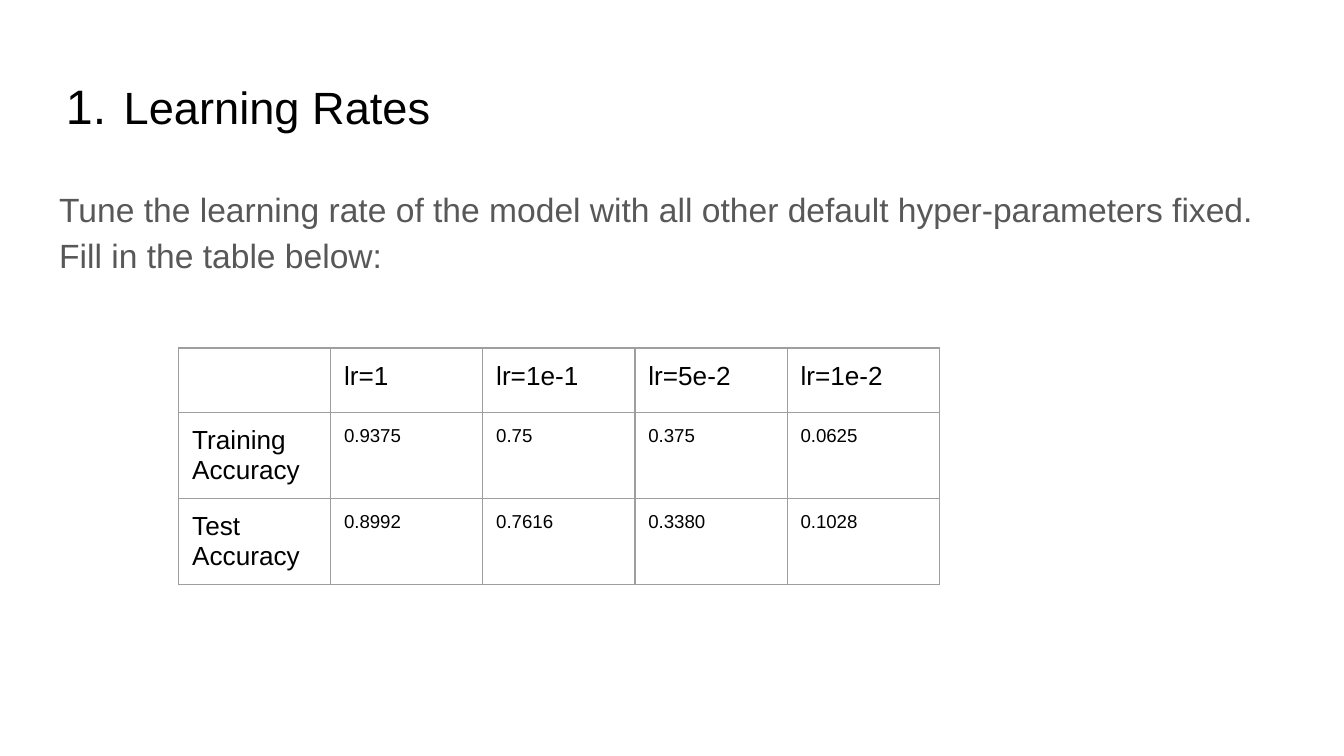
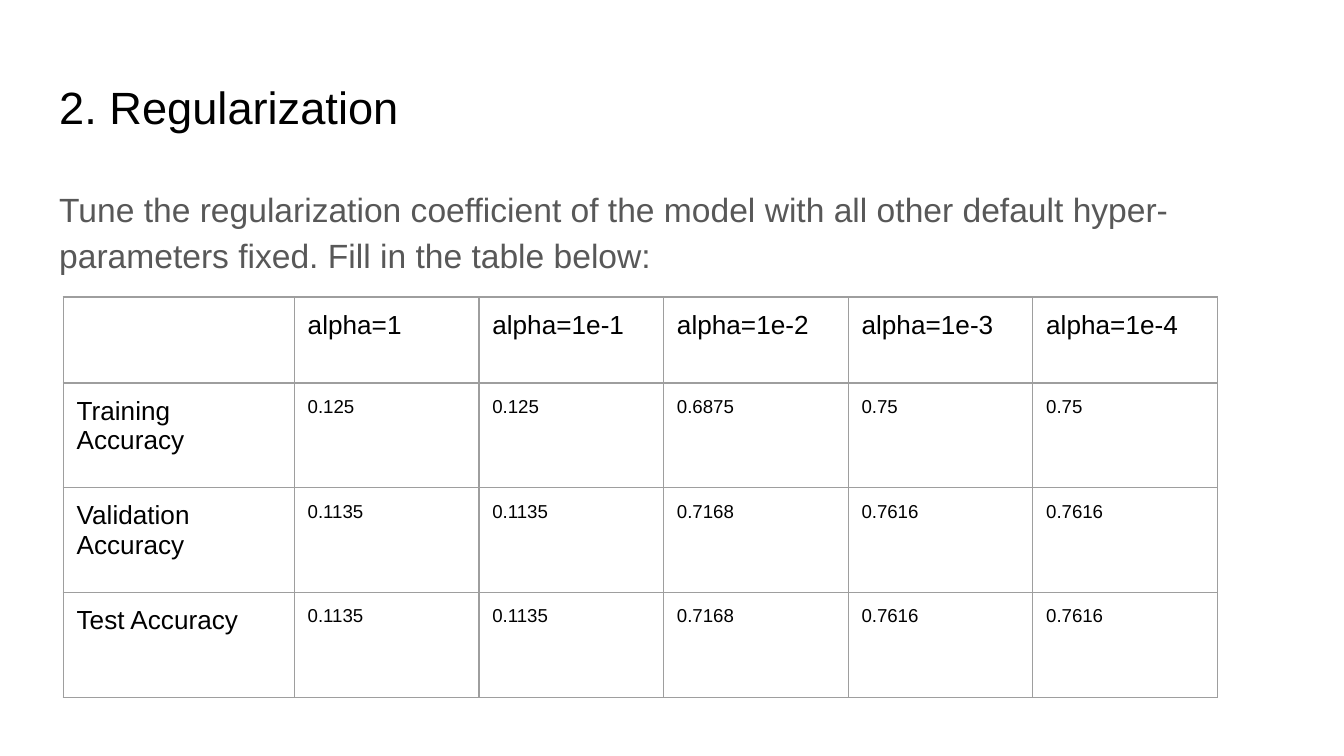
from dataclasses import dataclass

from lxml.etree import SubElement
from pptx import Presentation
from pptx.dml.color import RGBColor
from pptx.enum.text import MSO_ANCHOR, MSO_AUTO_SIZE, PP_ALIGN
from pptx.oxml.ns import qn
from pptx.util import Inches, Pt


@dataclass(frozen=True)
class Theme:
    font: str = "Arial"
    title_color: str = "000000"
    body_color: str = "585858"
    border_color: str = "9E9E9E"
    title_size: float = 24.2
    body_size: float = 18
    label_size: float = 14
    value_size: float = 10
    border_width: float = 0.75
    inset: float = 0.1


THEME = Theme()

SLIDES = [
    {
        "title": "Learning Rates",
        "numbered": True,
        "task": "Tune the learning rate of the model with all other default "
                "hyper-parameters fixed. Fill in the table below:",
        "body_height": 3.74,
        "table_position": (1.33, 2.59),
        "table_width": 5.66,
        "label_width": 1.13,
        "row_heights": [0.48, 0.64, 0.64],
        "cells": [
            ["", "lr=1", "lr=1e-1", "lr=5e-2", "lr=1e-2"],
            ["Training Accuracy", "0.9375", "0.75", "0.375", "0.0625"],
            ["Test Accuracy", "0.8992", "0.7616", "0.3380", "0.1028"],
        ],
    },
    {
        "title": "2. Regularization",
        "numbered": False,
        "task": "Tune the regularization coefficient of the model with all other default "
                "hyper-parameters fixed. Fill in the table below:",
        "body_height": 0.95,
        "table_position": (0.47, 2.21),
        "table_width": 8.59,
        "label_width": 1.72,
        "row_heights": [0.64, 0.78, 0.78, 0.78],
        "cells": [
            ["", "alpha=1", "alpha=1e-1", "alpha=1e-2", "alpha=1e-3", "alpha=1e-4"],
            ["Training Accuracy", "0.125", "0.125", "0.6875", "0.75", "0.75"],
            ["Validation Accuracy", "0.1135", "0.1135", "0.7168", "0.7616", "0.7616"],
            ["Test Accuracy", "0.1135", "0.1135", "0.7168", "0.7616", "0.7616"],
        ],
    },
]


def write_text(box, text, *, size, color=THEME.title_color, line_spacing=1.0, numbered=False):
    """Fill a text frame or a table cell with one formatted paragraph."""
    box.vertical_anchor = MSO_ANCHOR.TOP
    box.margin_left = box.margin_right = Inches(THEME.inset)
    box.margin_top = box.margin_bottom = Inches(THEME.inset)
    paragraph = getattr(box, "text_frame", box).paragraphs[0]
    paragraph.alignment = PP_ALIGN.LEFT
    paragraph.line_spacing = line_spacing
    paragraph.space_before = Pt(0)
    properties = paragraph._p.get_or_add_pPr()
    properties.set("marL", str(Inches(0.48 if numbered else 0)))
    properties.set("indent", str(Inches(-0.43 if numbered else 0)))
    if numbered:
        bullet_color = SubElement(properties, qn("a:buClr"))
        SubElement(bullet_color, qn("a:srgbClr"), val=color)
        SubElement(properties, qn("a:buSzPct"), val="107000")
        SubElement(properties, qn("a:buFont"), typeface=THEME.font)
        SubElement(properties, qn("a:buAutoNum"), type="arabicPeriod")
    else:
        SubElement(properties, qn("a:buNone"))
    if text:
        run = paragraph.add_run()
        run.text = text
        run.font.name = THEME.font
        run.font.size = Pt(size)
        run.font.color.rgb = RGBColor.from_string(color)
    else:
        SubElement(paragraph._p, qn("a:endParaRPr"), sz=str(int(size * 100)))


def style_cell(cell):
    """Draw all four borders and leave the cell unfilled."""
    properties = cell._tc.get_or_add_tcPr()
    for side in ("a:lnL", "a:lnR", "a:lnT", "a:lnB"):
        border = SubElement(properties, qn(side), w=str(Pt(THEME.border_width)))
        fill = SubElement(border, qn("a:solidFill"))
        SubElement(fill, qn("a:srgbClr"), val=THEME.border_color)
    cell.fill.background()


presentation = Presentation()
presentation.slide_width = Inches(10)
presentation.slide_height = Inches(10) * 9 // 16

for content in SLIDES:
    slide = presentation.slides.add_slide(presentation.slide_layouts[1])
    title, body = slide.shapes.title, slide.placeholders[1]
    for shape, top, height in ((title, 0.49, 0.63), (body, 1.26, content["body_height"])):
        shape.left, shape.top = Inches(0.34), Inches(top)
        shape.width, shape.height = Inches(9.32), Inches(height)
        shape.text_frame.auto_size = MSO_AUTO_SIZE.NONE
        shape.text_frame.word_wrap = True
    write_text(title.text_frame, content["title"], size=THEME.title_size,
               numbered=content["numbered"])
    write_text(body.text_frame, content["task"], size=THEME.body_size,
               color=THEME.body_color, line_spacing=1.15)

    left, top = content["table_position"]
    cells, row_heights = content["cells"], content["row_heights"]
    value_count = len(cells[0]) - 1
    value_width = (content["table_width"] - content["label_width"]) / value_count
    column_widths = [content["label_width"]] + [value_width] * value_count
    table = slide.shapes.add_table(
        len(cells), len(column_widths), Inches(left), Inches(top),
        Inches(content["table_width"]), Inches(sum(row_heights))).table
    table.first_row = table.horz_banding = False
    for column, width in zip(table.columns, column_widths):
        column.width = Inches(width)
    for row_index, (row, height) in enumerate(zip(table.rows, row_heights)):
        row.height = Inches(height)
        for column_index, cell in enumerate(row.cells):
            is_label = row_index == 0 or column_index == 0
            write_text(cell, cells[row_index][column_index],
                       size=THEME.label_size if is_label else THEME.value_size)
            style_cell(cell)

presentation.save("out.pptx")
